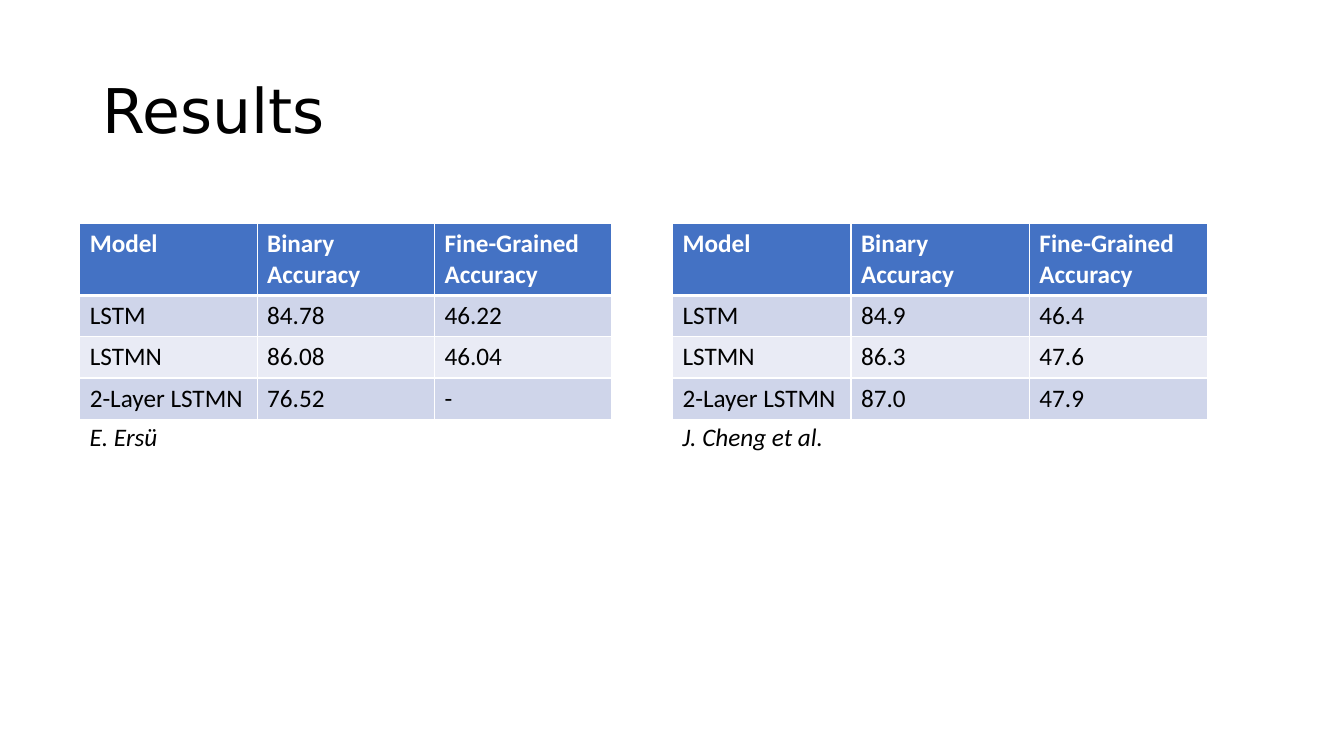
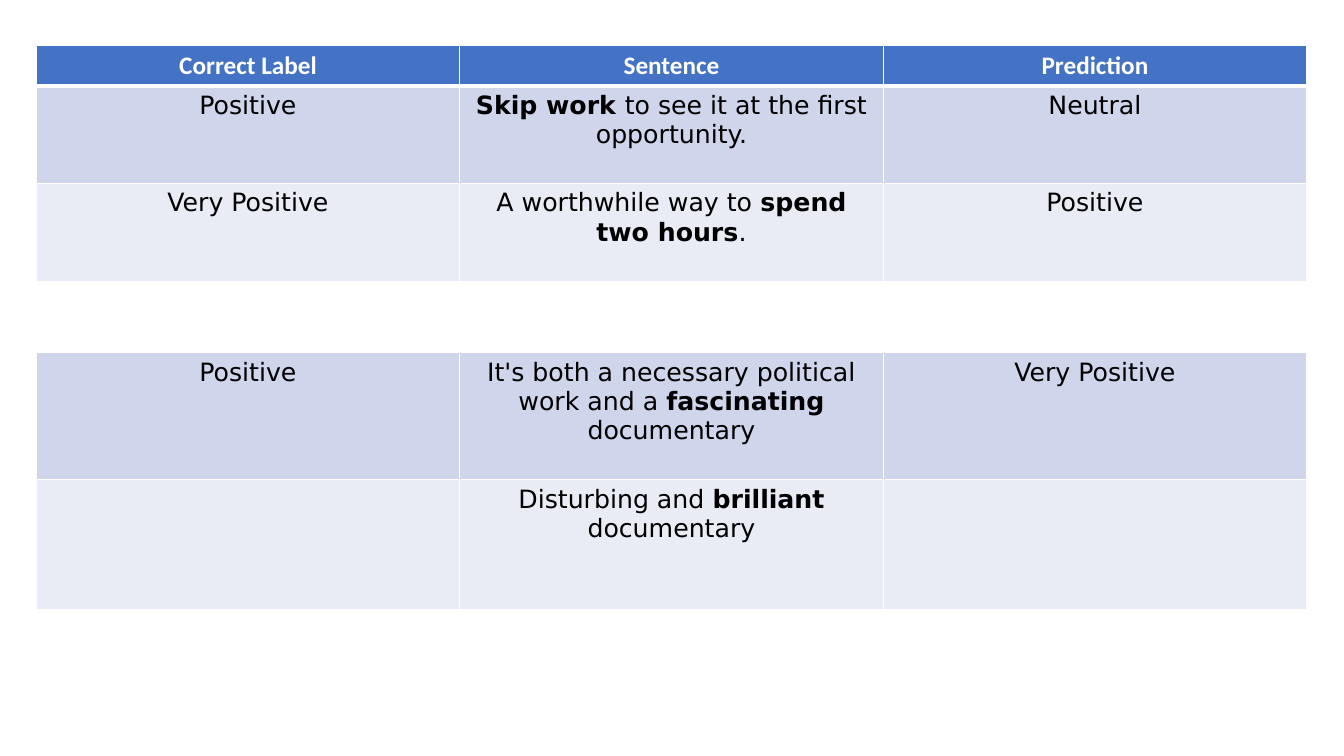
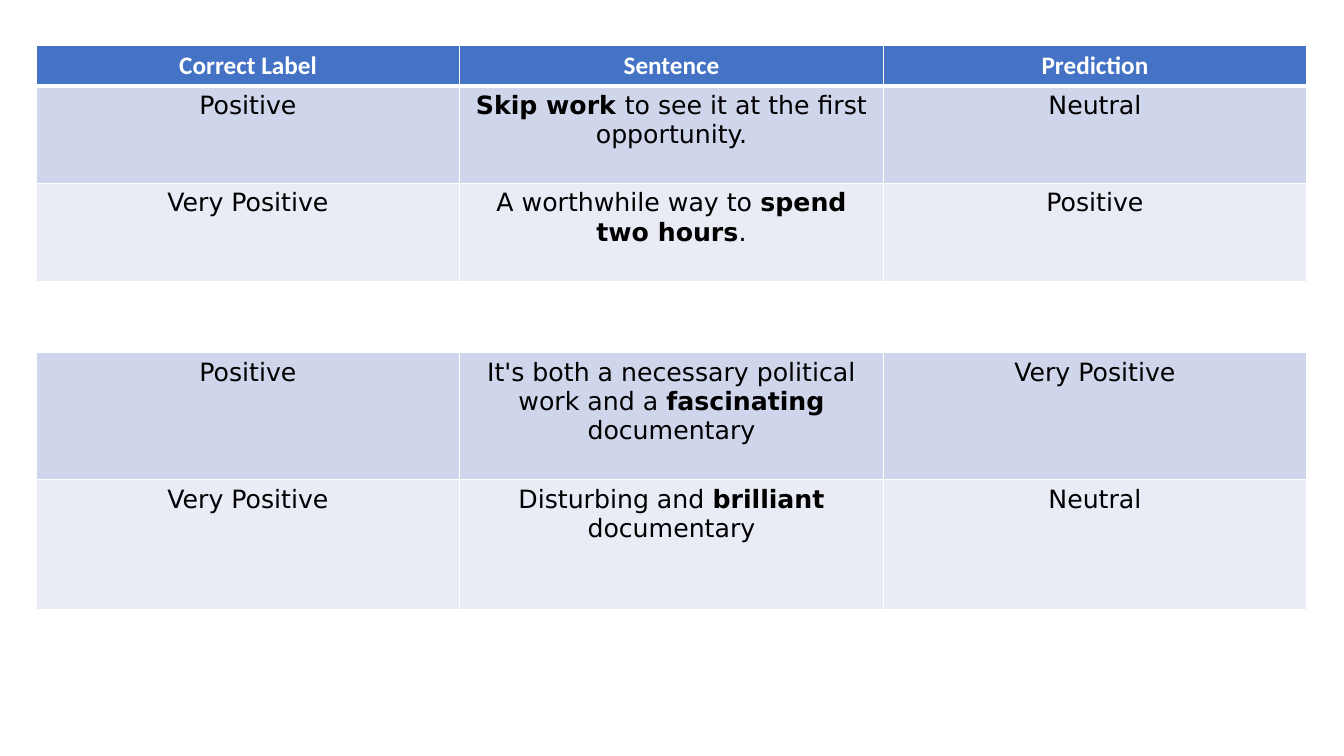
from dataclasses import dataclass

from lxml import etree
from pptx import Presentation
from pptx.dml.color import RGBColor
from pptx.enum.text import MSO_ANCHOR, MSO_AUTO_SIZE, PP_ALIGN
from pptx.oxml.ns import qn
from pptx.slide import Slide
from pptx.table import _Cell
from pptx.text.text import _Paragraph
from pptx.util import Inches, Pt

LEFT = PP_ALIGN.LEFT
CENTER = PP_ALIGN.CENTER
MIDDLE = MSO_ANCHOR.MIDDLE
TOP = MSO_ANCHOR.TOP
NO_FIT = MSO_AUTO_SIZE.NONE
GROW = MSO_AUTO_SIZE.SHAPE_TO_FIT_TEXT
BOLD_MARK = "**"


@dataclass(frozen=True)
class Theme:
    header_fill: str = "4472C4"
    bands: tuple[str, str] = ("CFD5EA", "E9EBF5")
    white: str = "FFFFFF"
    black: str = "000000"
    plain_font: str = "Calibri"
    wide_font: str = "DejaVu Sans"
    title_size: int = 44
    body_size: int = 18
    thin_border: int = 1
    thick_border: int = 3


THEME = Theme()


@dataclass(frozen=True)
class TextStyle:
    font: str
    size: int
    color: str
    bold: bool = False
    italic: bool = False


TITLE = TextStyle(THEME.wide_font, THEME.title_size, THEME.black)
HEADER = TextStyle(THEME.plain_font, THEME.body_size, THEME.white, bold=True)
FIGURES = TextStyle(THEME.plain_font, THEME.body_size, THEME.black)
SENTENCES = TextStyle(THEME.wide_font, THEME.body_size, THEME.black)
CAPTION = TextStyle(THEME.plain_font, THEME.body_size, THEME.black, italic=True)


@dataclass(frozen=True)
class Grid:
    left: float
    top: float
    column_width: float
    row_heights: tuple[float, ...]
    body_style: TextStyle
    alignment: PP_ALIGN
    has_header: bool = True


@dataclass(frozen=True)
class ResultTable:
    left: float
    column_width: float
    caption: str
    scores: tuple[tuple[str, str], ...]


RESULT_HEADER = ("Model", "Binary Accuracy", "Fine-Grained Accuracy")
MODELS = ("LSTM", "LSTMN", "2-Layer LSTMN")
RESULT_ROW_HEIGHTS = (0.7, 0.41, 0.41, 0.41)
RESULT_TABLES = (
    ResultTable(0.79, 1.76, "E. Ersü",
                (("84.78", "46.22"), ("86.08", "46.04"), ("76.52", "-"))),
    ResultTable(6.67, 1.77, "J. Cheng et al.",
                (("84.9", "46.4"), ("86.3", "47.6"), ("87.0", "47.9"))),
)

UNDERRATED_GRID = Grid(0.36, 0.45, 4.2, (0.4, 0.97, 0.97), SENTENCES, CENTER)
UNDERRATED_ROWS = (
    ("Correct Label", "Sentence", "Prediction"),
    ("Positive", "**Skip work **to see it at the first opportunity.", "Neutral"),
    ("Very Positive", "A worthwhile way to **spend two hours**.", "Positive"),
)
DOCUMENTARY_GRID = Grid(0.36, 3.5, 4.2, (1.26, 1.29), SENTENCES, CENTER, has_header=False)
FASCINATING_ROW = (
    "Positive",
    "It's both a necessary political work and a **fascinating** documentary",
    "Very Positive",
)
BRILLIANT_SENTENCE = "Disturbing and **brilliant** documentary"
BRILLIANT_LABELS = (("", ""), ("Very Positive", "Neutral"))


def write_text(paragraph: _Paragraph, text: str, style: TextStyle, alignment: PP_ALIGN) -> None:
    paragraph.alignment = alignment
    for index, part in enumerate(text.split(BOLD_MARK)):
        if not part:
            continue
        run = paragraph.add_run()
        run.text = part
        run.font.name = style.font
        run.font.size = Pt(style.size)
        run.font.bold = style.bold or index % 2 == 1
        run.font.italic = style.italic
        run.font.color.rgb = RGBColor.from_string(style.color)


def add_text(slide: Slide, left: float, top: float, width: float, height: float, text: str,
             style: TextStyle, anchor: MSO_ANCHOR = TOP, fit: MSO_AUTO_SIZE = NO_FIT,
             line_spacing: float = 1.0) -> None:
    box = slide.shapes.add_textbox(Inches(left), Inches(top), Inches(width), Inches(height))
    frame = box.text_frame
    frame.word_wrap = True
    frame.auto_size = fit
    frame.vertical_anchor = anchor
    paragraph = frame.paragraphs[0]
    paragraph.line_spacing = line_spacing
    write_text(paragraph, text, style, LEFT)


def set_borders(cell: _Cell, top_width: int, bottom_width: int) -> None:
    properties = cell._tc.get_or_add_tcPr()
    thin = THEME.thin_border
    widths = {"a:lnL": thin, "a:lnR": thin, "a:lnT": top_width, "a:lnB": bottom_width}
    for tag, width in widths.items():
        line = etree.SubElement(properties, qn(tag), w=str(Pt(width)))
        fill = etree.SubElement(line, qn("a:solidFill"))
        etree.SubElement(fill, qn("a:srgbClr"), val=THEME.white)


def add_grid(slide: Slide, grid: Grid, rows: tuple[tuple[str, ...], ...]) -> None:
    column_count = len(rows[0])
    frame = slide.shapes.add_table(
        len(rows), column_count, Inches(grid.left), Inches(grid.top),
        Inches(grid.column_width * column_count), Inches(sum(grid.row_heights)))
    table = frame.table
    table.first_row = grid.has_header
    table.horz_banding = False
    for column in table.columns:
        column.width = Inches(grid.column_width)
    header_count = int(grid.has_header)
    for row_index, texts in enumerate(rows):
        table.rows[row_index].height = Inches(grid.row_heights[row_index])
        body_index = row_index - header_count
        is_header = body_index < 0
        style = HEADER if is_header else grid.body_style
        color = THEME.header_fill if is_header else THEME.bands[body_index % 2]
        below_header = grid.has_header and body_index == 0
        top_width = THEME.thick_border if below_header else THEME.thin_border
        bottom_width = THEME.thick_border if is_header else THEME.thin_border
        for column_index, text in enumerate(texts):
            cell = table.cell(row_index, column_index)
            set_borders(cell, top_width, bottom_width)
            cell.fill.solid()
            cell.fill.fore_color.rgb = RGBColor.from_string(color)
            write_text(cell.text_frame.paragraphs[0], text, style, grid.alignment)


def draw_results(slide: Slide) -> None:
    add_text(slide, 0.92, 0.4, 11.5, 1.45, "Results", TITLE, anchor=MIDDLE, line_spacing=0.9)
    for result in RESULT_TABLES:
        grid = Grid(result.left, 2.22, result.column_width, RESULT_ROW_HEIGHTS, FIGURES, LEFT)
        body = tuple((model, *scores) for model, scores in zip(MODELS, result.scores))
        add_grid(slide, grid, (RESULT_HEADER, *body))
    for result in RESULT_TABLES:
        add_text(slide, result.left, 4.13, 1.98, 0.4, result.caption, CAPTION, fit=GROW)


def draw_errors(slide: Slide, label: str, prediction: str) -> None:
    add_grid(slide, UNDERRATED_GRID, UNDERRATED_ROWS)
    brilliant_row = (label, BRILLIANT_SENTENCE, prediction)
    add_grid(slide, DOCUMENTARY_GRID, (FASCINATING_ROW, brilliant_row))


def main() -> None:
    presentation = Presentation()
    presentation.slide_width = Inches(13.33)
    presentation.slide_height = Inches(7.5)
    blank = presentation.slide_layouts[6]
    draw_results(presentation.slides.add_slide(blank))
    for label, prediction in BRILLIANT_LABELS:
        draw_errors(presentation.slides.add_slide(blank), label, prediction)
    presentation.save("out.pptx")


if __name__ == "__main__":
    main()
